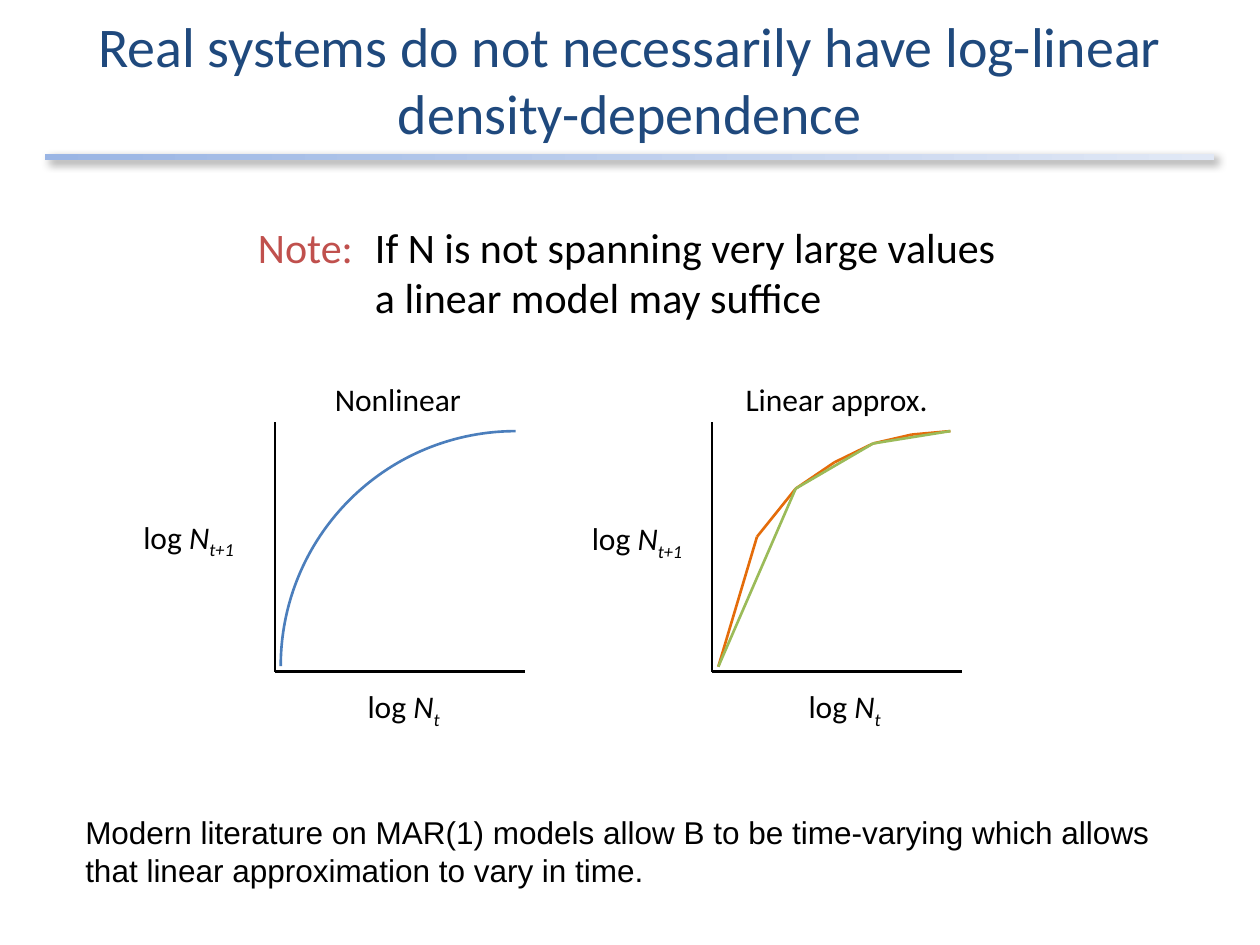
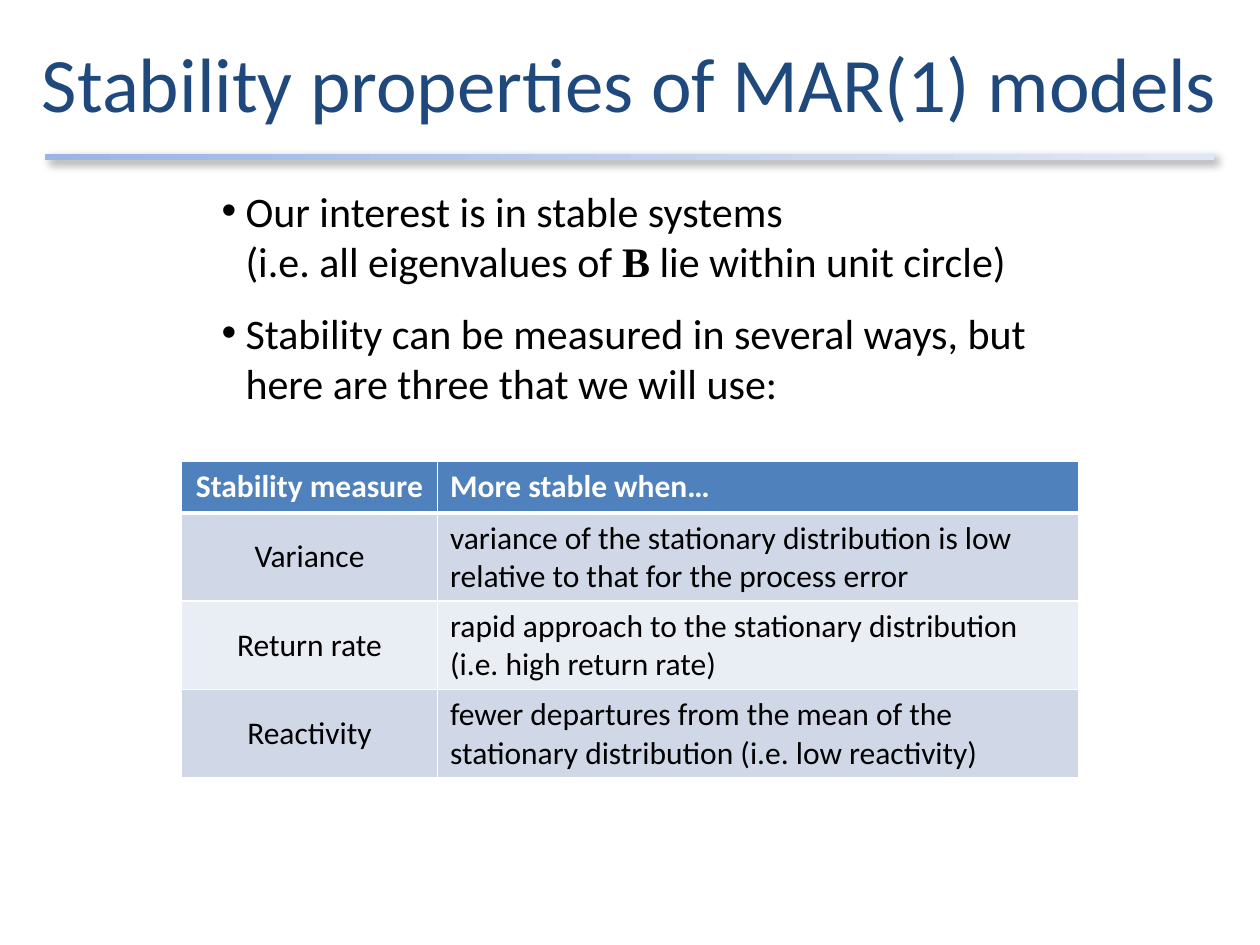
from itertools import pairwise
from lxml.etree import SubElement
from pptx import Presentation
from pptx.dml.color import RGBColor
from pptx.enum.shapes import MSO_CONNECTOR, MSO_SHAPE
from pptx.enum.text import MSO_ANCHOR, MSO_AUTO_SIZE, PP_ALIGN
from pptx.oxml.ns import qn
from pptx.util import Cm, Pt

HUES = {
    "title": "1F497D", "note": "C0504D", "ink": "000000", "white": "FFFFFF",
    "curve": "4B7EBC", "fine": "E46C0A", "rough": "9BBB59",
    "start": "9AB5E4", "end": "E1E8F5",
    "head": "4F81BD", "odd": "D0D8E8", "even": "E9EDF4",
}
MID = PP_ALIGN.CENTER


def hue(name):
    return RGBColor.from_string(HUES[name])


def node(root, tag, **attrs):
    return SubElement(root, qn(tag), {key: str(val) for key, val in attrs.items()})


def write(para, runs, size=18, font="Calibri", color="ink", bold=False,
          align=None, hang=0, bullet=False, after=0):
    if align is not None:
        para.alignment = align
    if after:
        para.space_after = Pt(after)
    props = para._p.get_or_add_pPr()
    if hang:
        props.set("marL", str(Cm(hang)))
        props.set("indent", str(-Cm(hang)))
    if bullet:
        node(props, "a:buFont", typeface="Arial")
        node(props, "a:buChar", char="•")
    for words, style in [(runs, {})] if isinstance(runs, str) else runs:
        run = para.add_run()
        run.text = words
        run.font.size = Pt(size)
        run.font.name = style.get("font", font)
        run.font.bold = style.get("bold", bold)
        run.font.italic = style.get("italic", False)
        run.font.color.rgb = hue(style.get("color", color))
        if "base" in style:
            run._r.get_or_add_rPr().set("baseline", str(style["base"]))


def box(slide, spot, paras, wrap=True, anchor=MSO_ANCHOR.TOP, grow=True):
    frame = slide.shapes.add_textbox(*map(Cm, spot)).text_frame
    frame.word_wrap = wrap
    frame.vertical_anchor = anchor
    frame.auto_size = MSO_AUTO_SIZE.SHAPE_TO_FIT_TEXT if grow else MSO_AUTO_SIZE.NONE
    for num, (runs, style) in enumerate(paras):
        para = frame.add_paragraph() if num else frame.paragraphs[0]
        write(para, runs, **style)


def label(slide, left, top, width, runs):
    box(slide, (left, top, width, 1.02), [(runs, {})], wrap=False)


def log(sub):
    return [("log ", {}), ("N", {"italic": True}),
            (sub, {"italic": True, "base": -25000})]


def trace(slide, points, color):
    for start, end in pairwise(points):
        line = slide.shapes.add_connector(
            MSO_CONNECTOR.STRAIGHT, *map(Cm, start + end))
        line.line.color.rgb = hue(color)
        line.line.width = Pt(1.5)
        node(line._element.spPr, "a:effectLst")


def band(slide):
    bar = slide.shapes.add_shape(
        MSO_SHAPE.RECTANGLE, Cm(0.91), Cm(3.1), Cm(23.57), Cm(0.13))
    bar.line.fill.background()
    bar.fill.gradient()
    bar.fill.gradient_angle = 0
    for stop, name in zip(bar.fill.gradient_stops, ("start", "end")):
        stop.color.rgb = hue(name)
    bar.shadow.inherit = False
    glow = node(bar._element.spPr.find(qn("a:effectLst")), "a:outerShdw",
                blurRad=Pt(5), dist=Pt(3), dir=45 * 60000, rotWithShape=0)
    tint = node(glow, "a:srgbClr", val=HUES["ink"])
    node(tint, "a:alpha", val=40000)


def start(deck, title, size, top=0):
    slide = deck.slides.add_slide(deck.slide_layouts[6])
    style = {"size": size, "color": "title", "align": MID}
    box(slide, (0, top, 25.4, 3.18), [(title, style)],
        anchor=MSO_ANCHOR.MIDDLE, grow=False)
    band(slide)
    return slide


def plot(slide, left, name, spot, width, side, under):
    trace(slide, [(left, 8.51), (left, 13.54), (left + 5.04, 13.54)], "ink")
    label(slide, spot, 7.54, width, name)
    label(slide, *side, 2.44, log("t+1"))
    label(slide, under, 13.72, 2.01, log("t"))


def arc(slide):
    curve = slide.shapes.add_shape(
        MSO_SHAPE.ARC, Cm(5.66), Cm(8.69), Cm(9.47), Cm(9.47))
    curve.rotation = 270
    curve.fill.background()
    curve.line.color.rgb = hue("curve")
    curve.line.width = Pt(1.5)
    curve.shadow.inherit = False


def edge(cell, **sides):
    props = cell._tc.get_or_add_tcPr()
    for side in "LRTB":
        line = node(props, f"a:ln{side}", w=Pt(sides.get(side, 1)))
        fill = node(line, "a:solidFill")
        node(fill, "a:srgbClr", val=HUES["white"])


def grid(slide, rows):
    table = slide.shapes.add_table(
        len(rows), 2, Cm(3.66), Cm(9.3), Cm(18.09), Cm(6.38)).table
    for col, width in zip(table.columns, (5.16, 12.93)):
        col.width = Cm(width)
    for num, row in enumerate(rows):
        head = num == 0
        table.rows[num].height = Cm(1.04 if head else 1.78)
        shade = "head" if head else "odd" if num % 2 else "even"
        for col, words in enumerate(row):
            cell = table.cell(num, col)
            edge(cell, **({"B": 3} if head else {"T": 3} if num == 1 else {}))
            cell.fill.solid()
            cell.fill.fore_color.rgb = hue(shade)
            if not head and col == 0:
                cell.vertical_anchor = MSO_ANCHOR.MIDDLE
            write(cell.text_frame.paragraphs[0], words, bold=head,
                  color="white" if head else "ink",
                  align=MID if col == 0 else None)


def density(deck):
    slide = start(
        deck, "Real systems do not necessarily have log-linear density-dependence", 32)
    note = [("Note:\t", {"color": "note"}),
            ("If N is not spanning very large values a linear model may suffice", {})]
    box(slide, (4.95, 4.34, 15.47, 2.31), [(note, {"size": 24, "hang": 2.36})])
    arc(slide)
    plot(slide, 5.54, "Nonlinear", 6.5, 3.1, (2.64, 10.31), 7.16)
    plot(slide, 14.35, "Linear approx.", 14.78, 4.22, (11.68, 10.34), 16.05)
    drops = (13.44, 10.82, 9.85, 9.32, 8.94, 8.76, 8.69)
    points = [(14.48 + 0.78 * num, drop) for num, drop in enumerate(drops)]
    trace(slide, points, "fine")
    trace(slide, points[::2], "rough")
    box(slide, (1.47, 16.26, 22.17, 1.8), [(
        "Modern literature on MAR(1) models allow B to be time-varying "
        "which allows that linear approximation to vary in time.",
        {"font": "Arial"})])


def stable(deck):
    slide = start(deck, "Stability properties of MAR(1) models", 44, top=0.05)
    item = {"size": 24, "hang": 0.48}
    circle = [("\t(i.e. all eigenvalues of ", {}),
              ("B", {"font": "Times New Roman", "bold": True}),
              (" lie within unit circle)", {})]
    box(slide, (4.22, 3.61, 16.97, 4.78), [
        ("Our interest is in stable systems", item | {"bullet": True}),
        (circle, item | {"after": 12}),
        ("Stability can be measured in several ways, but here are three "
         "that we will use:", item | {"bullet": True}),
    ])
    grid(slide, [
        ("Stability measure", "More stable when…"),
        ("Variance", "variance of the stationary distribution is low "
                     "relative to that for the process error"),
        ("Return rate", "rapid approach to the stationary distribution "
                        "(i.e. high return rate)"),
        ("Reactivity", "fewer departures from the mean of the stationary "
                       "distribution (i.e. low reactivity)"),
    ])


def main():
    deck = Presentation()
    deck.slide_width, deck.slide_height = Cm(25.4), Cm(19.05)
    density(deck)
    stable(deck)
    deck.save("out.pptx")


if __name__ == "__main__":
    main()
